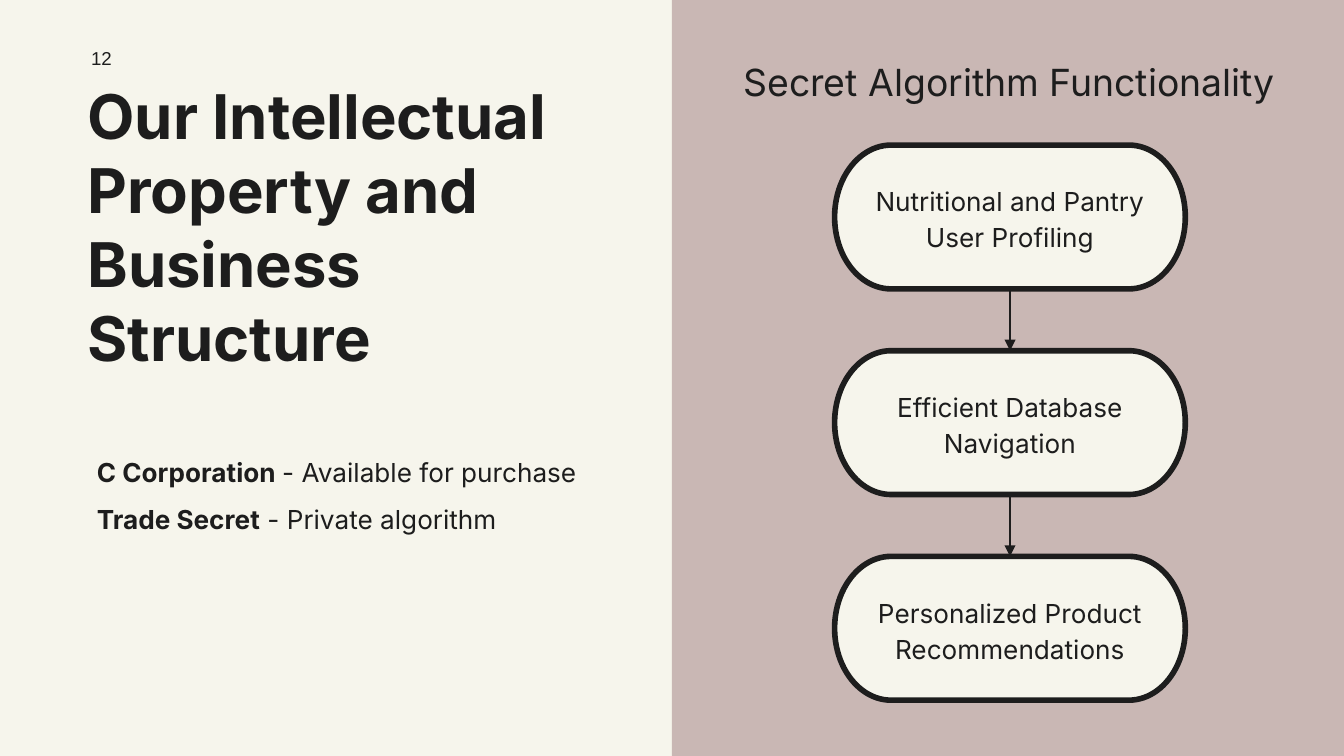
"""Build the intellectual property and business structure slide."""
from lxml import etree
from pptx import Presentation
from pptx.dml.color import RGBColor
from pptx.enum.shapes import MSO_CONNECTOR, MSO_SHAPE
from pptx.enum.text import MSO_ANCHOR, MSO_AUTO_SIZE, PP_ALIGN
from pptx.oxml.ns import qn
from pptx.util import Inches, Pt

INK, CREAM, ROSE = "1D1D1D", "F6F5EC", "C9B7B4"


def color(value):
    return RGBColor.from_string(value)


def write(shape, paragraphs, size, font="Inter", align=PP_ALIGN.LEFT, anchor=MSO_ANCHOR.TOP, spacing=1.0):
    frame = shape.text_frame
    frame.word_wrap = True
    frame.auto_size = MSO_AUTO_SIZE.NONE
    frame.vertical_anchor = anchor
    frame.margin_left = frame.margin_right = Inches(0.1)
    frame.margin_top = frame.margin_bottom = Inches(0.1)
    for index, pieces in enumerate(paragraphs):
        paragraph = frame.add_paragraph() if index else frame.paragraphs[0]
        paragraph.alignment = align
        paragraph.line_spacing = spacing
        paragraph.space_before = Pt(0)
        for words, bold in pieces:
            run = paragraph.add_run()
            run.text = words
            run.font.size = Pt(size)
            run.font.name = font
            run.font.bold = bold
            run.font.color.rgb = color(INK)


prs = Presentation()
prs.slide_width, prs.slide_height = Inches(10), Inches(10 * 9 / 16)
slide = prs.slides.add_slide(prs.slide_layouts[1])
slide.background.fill.solid()
slide.background.fill.fore_color.rgb = color(CREAM)
shapes = slide.shapes

panel = shapes.add_shape(MSO_SHAPE.RECTANGLE, Inches(5), Inches(0), Inches(5), prs.slide_height)
panel.shadow.inherit = False
panel.fill.solid()
panel.fill.fore_color.rgb = color(ROSE)
panel.line.fill.background()

title = shapes.title
title.left, title.top, title.width, title.height = Inches(0.55), Inches(0.48), Inches(4.13), Inches(1.98)
write(title, [[("Our Intellectual Property and Business Structure", True)]], 33)

structure = slide.placeholders[1]
structure.left, structure.top = Inches(0.62), Inches(3.18)
structure.width, structure.height = Inches(4.22), Inches(2.08)
write(structure, [
    [("C Corporation ", True), ("- Available for purchase", False)],
    [("Trade Secret", True), (" - Private algorithm", False)],
], 14, spacing=1.5)
for paragraph in structure.text_frame.paragraphs:
    properties = paragraph._p.get_or_add_pPr()
    properties.set("marL", "0")
    properties.set("indent", "0")
    etree.SubElement(properties, qn("a:buNone"))

heading = shapes.add_textbox(Inches(5.3), Inches(0.34), Inches(4.42), Inches(1.35))
write(heading, [[("Secret Algorithm Functionality", False)]], 20, align=PP_ALIGN.CENTER)

page_number = shapes.add_textbox(Inches(0.46), Inches(0.22), Inches(0.47), Inches(0.43))
write(page_number, [[("12", False)]], 10, "Arial", PP_ALIGN.RIGHT, MSO_ANCHOR.MIDDLE)

steps = []
for index, label in enumerate([
    "Nutritional and Pantry User Profiling",
    "Efficient Database Navigation",
    "Personalized Product Recommendations",
]):
    step = shapes.add_shape(MSO_SHAPE.FLOWCHART_TERMINATOR, Inches(6.21),
                            Inches(1.08 + 1.53 * index), Inches(2.61), Inches(1.07))
    step.shadow.inherit = False
    step.fill.solid()
    step.fill.fore_color.rgb = color(CREAM)
    step.line.color.rgb = color(INK)
    step.line.width = Pt(3)
    write(step, [[(label, False)]], 14, align=PP_ALIGN.CENTER, anchor=MSO_ANCHOR.MIDDLE, spacing=1.15)
    steps.append(step)

for upper, lower in zip(steps, steps[1:]):
    arrow = shapes.add_connector(MSO_CONNECTOR.STRAIGHT, 0, 0, 0, 0)
    arrow.begin_connect(upper, 2)
    arrow.end_connect(lower, 0)
    arrow.line.color.rgb = color(INK)
    arrow.line.width = Pt(0.75)
    etree.SubElement(arrow.line._get_or_add_ln(), qn("a:tailEnd"), type="triangle")
    etree.SubElement(arrow._element.spPr, qn("a:effectLst"))

prs.save("out.pptx")
